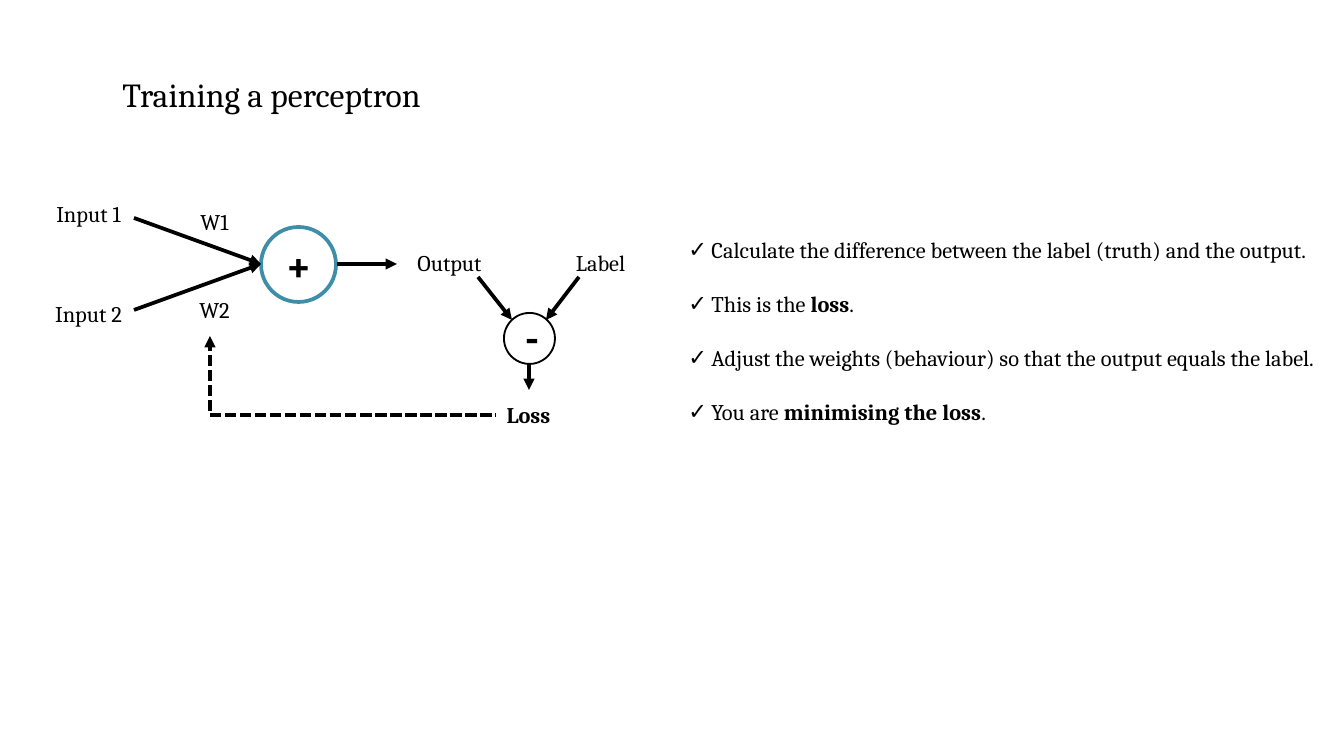
"""Build the slide on training a perceptron."""
from dataclasses import dataclass

from lxml.etree import SubElement
from pptx import Presentation
from pptx.dml.color import RGBColor
from pptx.enum.dml import MSO_LINE
from pptx.enum.shapes import MSO_CONNECTOR, MSO_SHAPE
from pptx.enum.text import MSO_ANCHOR, PP_ALIGN
from pptx.oxml.ns import qn
from pptx.util import Pt


@dataclass(frozen=True)
class Theme:
    font: str = "Cambria"
    ink: RGBColor = RGBColor(0, 0, 0)
    ring: RGBColor = RGBColor(0x3E, 0x8E, 0xA9)
    title: int = 18
    text: int = 12
    sign: int = 24
    thin: int = 1
    thick: int = 2


theme = Theme()
SCALE = 914400 / 134.4


def px(*lengths):
    return [round(length * SCALE) for length in lengths]


def style(paragraph, size, bold=False, align=PP_ALIGN.LEFT):
    paragraph.alignment = align
    paragraph.font.name = theme.font
    paragraph.font.size = Pt(size)
    paragraph.font.bold = bold
    paragraph.font.color.rgb = theme.ink


deck = Presentation()
deck.slide_width, deck.slide_height = px(1344, 756)
page = deck.slides.add_slide(deck.slide_layouts[1])

title = page.shapes.title
title.left, title.top, title.width, title.height = px(109, 67, 355, 54)
title.text_frame.word_wrap = False
title.text_frame.vertical_anchor = MSO_ANCHOR.TOP
title.text_frame.text = "Training a perceptron"
style(title.text_frame.paragraphs[0], theme.title)

steps = [
    [("Calculate the difference between the label (truth) and the output.", False)],
    [("This is the ", False), ("loss", True), (".", False)],
    [("Adjust the weights (behaviour) so that the output equals the label.", False)],
    [("You are ", False), ("minimising the loss", True), (".", False)],
]
body = page.placeholders[1]
body.left, body.top, body.width, body.height = px(675, 203, 661, 332)
[hanging] = px(23)
for index, step in enumerate(steps):
    frame = body.text_frame
    para = frame.add_paragraph() if index else frame.paragraphs[0]
    properties = para._p.get_or_add_pPr()
    properties.set("marL", str(hanging))
    properties.set("indent", str(-hanging))
    SubElement(properties, qn("a:buChar")).set("char", "✓")
    para.line_spacing = 2.0
    para.space_before = Pt(0)
    style(para, theme.text)
    for words, bold in step:
        span = para.add_run()
        span.text = words
        if bold:
            span.font.bold = True

circles = [
    (261, 227, 75, theme.ring, theme.thick),
    (504, 313, 51, theme.ink, theme.thin),
]
for left, top, size, colour, weight in circles:
    circle = page.shapes.add_shape(MSO_SHAPE.OVAL, *px(left, top, size, size))
    circle.shadow.inherit = False
    circle.fill.background()
    circle.line.color.rgb = colour
    circle.line.width = Pt(weight)

labels = [
    ("Input 1", 34, 194, 109, 40, theme.text, False),
    ("Input 2", 34, 294, 109, 40, theme.text, False),
    ("W1", 185, 202, 59, 67, theme.text, False),
    ("W2", 185, 290, 59, 67, theme.text, False),
    ("Output", 395, 243, 109, 40, theme.text, False),
    ("Label", 546, 243, 109, 40, theme.text, False),
    ("Loss", 474, 395, 109, 40, theme.text, True),
    ("+", 269, 230, 59, 67, theme.sign, True),
    ("-", 511, 302, 42, 67, theme.sign, True),
]
for words, left, top, width, height, size, bold in labels:
    box = page.shapes.add_textbox(*px(left, top, width, height))
    box.text_frame.word_wrap = True
    box.text_frame.text = words
    style(box.text_frame.paragraphs[0], size, bold, PP_ALIGN.CENTER)

links = [
    (134, 218, 261, 264, False, True),
    (134, 310, 261, 264, False, True),
    (337, 264, 397, 264, False, True),
    (478, 277, 512, 320, False, True),
    (579, 277, 546, 320, False, True),
    (529, 364, 529, 390, False, True),
    (210, 411, 210, 336, True, True),
    (210, 415, 496, 415, True, False),
]
for *ends, dashed, arrow in links:
    link = page.shapes.add_connector(MSO_CONNECTOR.STRAIGHT, *px(*ends))
    link.line.color.rgb = theme.ink
    link.line.width = Pt(theme.thick)
    if dashed:
        link.line.dash_style = MSO_LINE.SQUARE_DOT
    if arrow:
        SubElement(link.line._get_or_add_ln(), qn("a:tailEnd")).set("type", "triangle")
    SubElement(link._element.spPr, qn("a:effectLst"))

deck.save("out.pptx")
